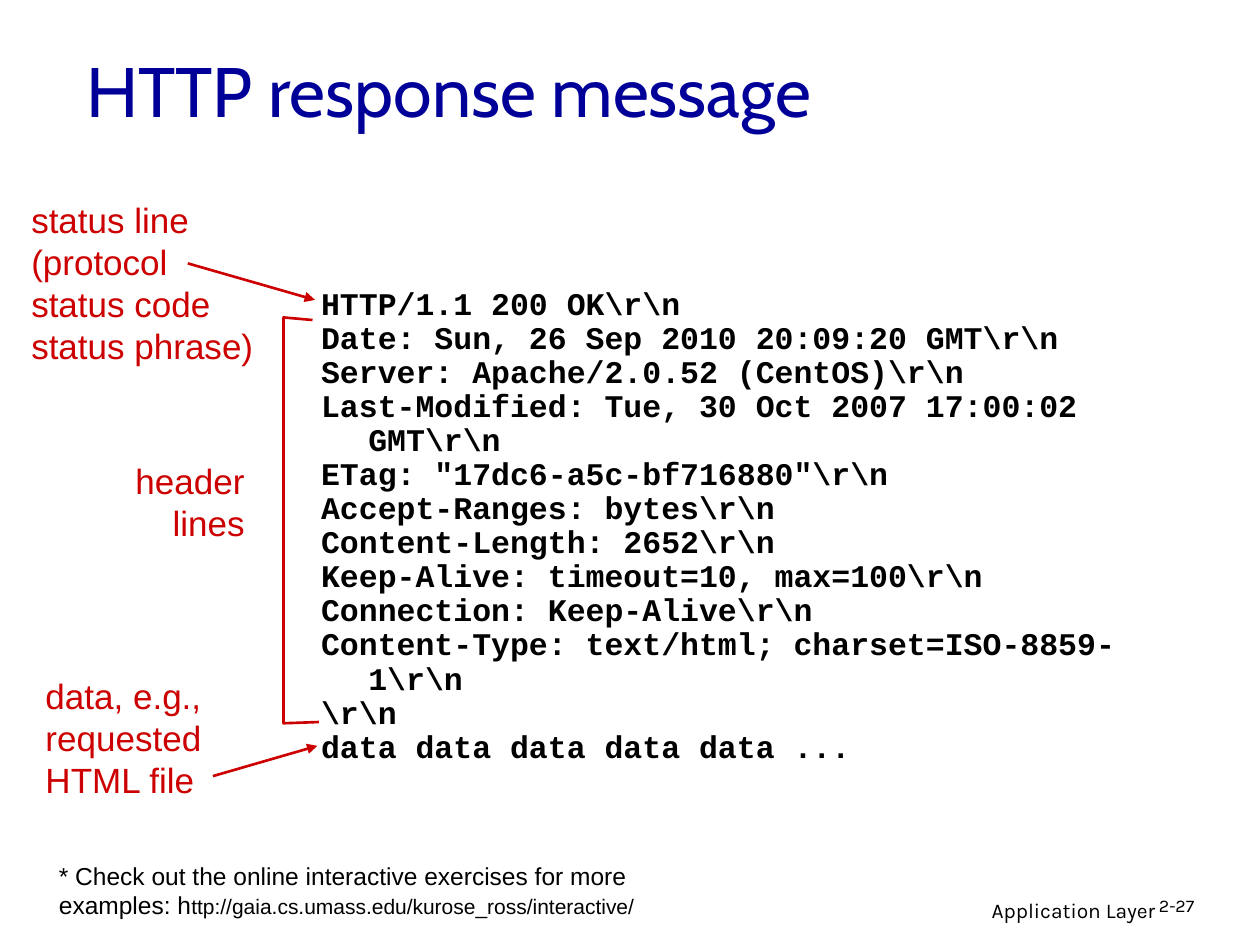
from pptx import Presentation
from pptx.dml.color import RGBColor
from pptx.enum.shapes import MSO_CONNECTOR as Connector
from pptx.enum.text import MSO_ANCHOR as Anchor, MSO_AUTO_SIZE as AutoSize, PP_ALIGN as Align
from pptx.oxml.ns import qn
from pptx.util import Pt
from lxml.etree import SubElement

BLACK = RGBColor(0x00, 0x00, 0x00)
NAVY = RGBColor(0x00, 0x00, 0x99)
RED = RGBColor(0xCC, 0x00, 0x00)

RESPONSE = [
    r"HTTP/1.1 200 OK\r\n",
    r"Date: Sun, 26 Sep 2010 20:09:20 GMT\r\n",
    r"Server: Apache/2.0.52 (CentOS)\r\n",
    r"Last-Modified: Tue, 30 Oct 2007 17:00:02 GMT\r\n",
    r'ETag: "17dc6-a5c-bf716880"\r\n',
    r"Accept-Ranges: bytes\r\n",
    r"Content-Length: 2652\r\n",
    r"Keep-Alive: timeout=10, max=100\r\n",
    r"Connection: Keep-Alive\r\n",
    r"Content-Type: text/html; charset=ISO-8859-1\r\n",
    r"\r\n",
    "data data data data data ...",
]


class SlidePainter:
    body_font = "Arial"
    title_font = "Cabin"
    footer_font = "Karla"
    code_font = "Courier New"
    line_width = Pt(1.5)
    hanging = Pt(27)

    def __init__(self, page):
        self.page = page

    def text(self, frame, lines, size, font=body_font, color=BLACK, bold=False,
             align=Align.LEFT, anchor=Anchor.TOP, spacing=1.0):
        box = self.page.shapes.add_textbox(*map(Pt, frame))
        box.text_frame.text = "\n".join(lines)
        box.text_frame.word_wrap = True
        box.text_frame.vertical_anchor = anchor
        for para in box.text_frame.paragraphs:
            para.alignment = align
            para.line_spacing = spacing
            for span in para.runs:
                self.style(span, size, font, color, bold)
        return box

    def style(self, span, size, font, color, bold=False):
        span.font.size = Pt(size)
        span.font.name = font
        span.font.color.rgb = color
        span.font.bold = bold

    def title(self, frame, words):
        self.text(frame, [words], 40, self.title_font, NAVY, anchor=Anchor.MIDDLE)

    def label(self, frame, lines, align=Align.LEFT):
        box = self.text(frame, lines, 20, color=RED, align=align)
        box.text_frame.word_wrap = False
        box.text_frame.auto_size = AutoSize.SHAPE_TO_FIT_TEXT

    def code(self, frame, lines):
        box = self.text(frame, lines, 18, self.code_font, bold=True, spacing=0.9)
        for para in box.text_frame.paragraphs:
            properties = para._p.get_or_add_pPr()
            properties.set("marL", str(self.hanging))
            properties.set("indent", str(-self.hanging))

    def footnote(self, frame, words, address):
        box = self.text(frame, [words], 14)
        span = box.text_frame.paragraphs[0].add_run()
        span.text = address
        self.style(span, 12, self.body_font, BLACK)

    def footer(self, frame, words, size, align=Align.LEFT, spacing=1.0):
        self.text(frame, [words], size, self.footer_font, align=align, spacing=spacing)

    def arrow(self, start, end):
        arrow = self.page.shapes.add_connector(
            Connector.STRAIGHT, *map(Pt, start + end))
        arrow.line.color.rgb = RED
        arrow.line.width = self.line_width
        SubElement(arrow.line._get_or_add_ln(), qn("a:tailEnd"), type="triangle")
        SubElement(arrow._element.spPr, qn("a:effectLst"))

    def bracket(self, points):
        first, *others = [tuple(map(Pt, point)) for point in points]
        builder = self.page.shapes.build_freeform(*first)
        builder.add_line_segments(others, close=False)
        bracket = builder.convert_to_shape()
        bracket.shadow.inherit = False
        bracket.fill.background()
        bracket.line.color.rgb = RED
        bracket.line.width = self.line_width


def main():
    deck = Presentation()
    deck.slide_width, deck.slide_height = Pt(720), Pt(540)
    painter = SlidePainter(deck.slides.add_slide(deck.slide_layouts[6]))

    painter.footer((439.2, 509.3, 228.2, 22.3), "Application Layer", 12, Align.RIGHT)
    painter.footer((655.2, 509.3, 53.3, 21.6), "2-27", 10.2, spacing=0.9)
    painter.title((42.1, 12.6, 612, 77), "HTTP response message")

    painter.label((10.8, 110, 141.4, 103.7),
                  ["status line", "(protocol", "status code", "status phrase)"])
    painter.arrow((107.3, 150.5), (180, 171.4))
    painter.bracket([(178.6, 182.9), (162, 181.4), (162, 413.3), (182.2, 412.6)])
    painter.label((70.2, 258.8, 76.7, 55.4), ["header", "lines"], Align.RIGHT)
    painter.arrow((121.7, 443.5), (181.4, 426.2))
    painter.label((18.9, 381.8, 108.7, 79.2),
                  ["data, e.g.,", "requested", "HTML file"])

    painter.code((176.4, 161.3, 496.8, 279.4), RESPONSE)
    painter.footnote((26.6, 488.2, 355, 41),
                     "* Check out the online interactive exercises for more examples: h",
                     "ttp://gaia.cs.umass.edu/kurose_ross/interactive/")
    deck.save("out.pptx")


if __name__ == "__main__":
    main()
